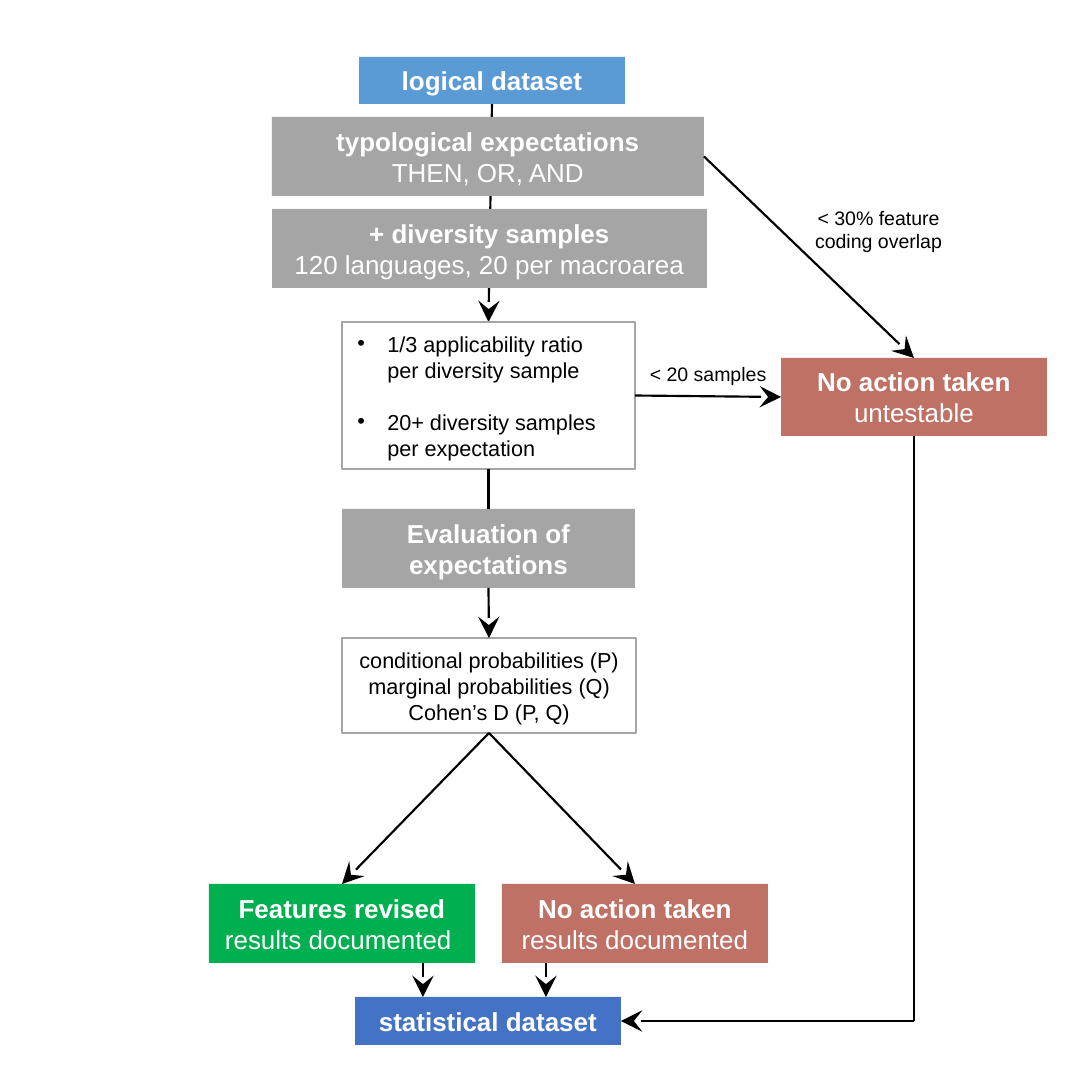
import pptx
import pptx.util
import pptx.dml.color
import pptx.enum.shapes
import pptx.enum.text
import pptx.oxml
import pptx.oxml.ns

PX = 5862  # EMU in one px, 156 px to the inch
SIDE = 1092
TOP, LEFT, BOTTOM, RIGHT = range(4)
HUES = {
    "black": "000000", "white": "FFFFFF", "grey": "A5A5A5", "red": "C07166",
    "green": "00B050", "sky": "5B9BD5", "blue": "4472C4",
}
RGB = {name: pptx.dml.color.RGBColor.from_string(code) for name, code in HUES.items()}
ALIGN = pptx.enum.text.PP_ALIGN

deck = pptx.Presentation()
deck.slide_width = deck.slide_height = SIDE * PX
slide = deck.slides.add_slide(deck.slide_layouts[6])
shapes = slide.shapes


def write(frame, texts, size, hue, bullet=False):
    """Fill a frame with one paragraph per text; the first is bold at 12 pt."""
    for i, text in enumerate(texts):
        para = frame.paragraphs[0] if i == 0 else frame.add_paragraph()
        para.alignment = ALIGN.LEFT if bullet else ALIGN.CENTER
        if bullet:
            props = para._p.get_or_add_pPr()
            props.set("marL", str(30 * PX))
            props.set("indent", str(-30 * PX))
            for tag in ('buFont typeface="Arial"', 'buChar char="•"'):
                props.append(pptx.oxml.parse_xml(
                    f"<a:{tag} {pptx.oxml.ns.nsdecls('a')}/>"))
            if i:
                para.space_before = pptx.util.Pt(12)
        for j, line in enumerate(text.split("\n")):
            if j:
                para.add_line_break()
            run = para.add_run()
            run.text = line
            run.font.name = "Arial"
            run.font.size = pptx.util.Pt(size)
            run.font.bold = size == 12 and i == 0
            run.font.color.rgb = RGB[hue]


def link(x1, y1, x2, y2, arrow=True):
    line = shapes.add_connector(
        pptx.enum.shapes.MSO_CONNECTOR.STRAIGHT, x1 * PX, y1 * PX, x2 * PX, y2 * PX)
    line.line.color.rgb = RGB["black"]
    line.line.width = pptx.util.Pt(1)
    space = pptx.oxml.ns.nsdecls("a")
    if arrow:
        line.line._get_or_add_ln().append(pptx.oxml.parse_xml(
            f'<a:tailEnd {space} type="stealth" w="lg" len="lg"/>'))
    line._element.spPr.append(pptx.oxml.parse_xml(f"<a:effectLst {space}/>"))
    return line


# Boxes: name, left, top, width, height, fill, texts
rows = [
    ("logic", 359, 57, 266, 47, "sky", ["logical dataset"]),
    ("types", 272, 117, 432, 79, "grey", ["typological expectations", "THEN, OR, AND"]),
    ("samples", 272, 209, 435, 79, "grey",
     ["+ diversity samples", "120 languages, 20 per macroarea"]),
    ("rules", 342, 322, 293, 147, "white",
     ["1/3 applicability ratio\nper diversity sample",
      "20+ diversity samples\nper expectation"]),
    ("skip", 781, 358, 266, 78, "red", ["No action taken", "untestable"]),
    ("test", 342, 509, 293, 79, "grey", ["Evaluation of expectations"]),
    ("scores", 342, 638, 294, 95, "white",
     ["conditional probabilities (P)", "marginal probabilities (Q)", "Cohen’s D (P, Q)"]),
    ("revised", 209, 884, 266, 79, "green", ["Features revised", "results documented "]),
    ("kept", 502, 884, 266, 79, "red", ["No action taken", "results documented"]),
    ("stats", 355, 997, 266, 48, "blue", ["statistical dataset"]),
]
boxes = {}
for name, x, y, wide, high, fill, texts in rows:
    box = shapes.add_shape(
        pptx.enum.shapes.MSO_SHAPE.RECTANGLE, x * PX, y * PX, wide * PX, high * PX)
    boxes[name] = box
    box.shadow.inherit = False
    box.fill.solid()
    box.fill.fore_color.rgb = RGB[fill]
    plain = fill == "white"
    if plain:
        box.line.color.rgb = RGB["grey"]
        box.line.width = pptx.util.Pt(0.75)
    else:
        box.line.fill.background()
    frame = box.text_frame
    frame.word_wrap = True
    frame.vertical_anchor = pptx.enum.text.MSO_ANCHOR.MIDDLE
    write(frame, texts, 10 if plain else 12, "black" if plain else "white", name == "rules")

# Lines joined to boxes at both ends
joins = [
    ("logic", BOTTOM, "rules", TOP, True),
    ("types", RIGHT, "skip", TOP, True),
    ("rules", RIGHT, "skip", LEFT, True),
    ("rules", BOTTOM, "test", TOP, False),
    ("test", BOTTOM, "scores", TOP, True),
    ("scores", BOTTOM, "revised", TOP, True),
    ("scores", BOTTOM, "kept", TOP, True),
]
for start, out, end, into, arrow in joins:
    line = link(0, 0, 0, 0, arrow)
    line.begin_connect(boxes[start], out)
    line.end_connect(boxes[end], into)
    if start == "logic":
        shapes._spTree.insert(2, line._element)  # runs behind the boxes

for x in (423, 546):
    link(x, 963, x, 997)
link(914, 436, 914, 1021, False).begin_connect(boxes["skip"], BOTTOM)
link(914, 1021, 621, 1021).end_connect(boxes["stats"], RIGHT)

for x, y, wide, high, text in [
    (799, 198, 159, 62, "< 30% feature\ncoding overlap"),
    (633, 354, 150, 39, "< 20 samples"),
]:
    label = shapes.add_textbox(x * PX, y * PX, wide * PX, high * PX)
    label.text_frame.word_wrap = False
    write(label.text_frame, [text], 9, "black")

deck.save("out.pptx")
